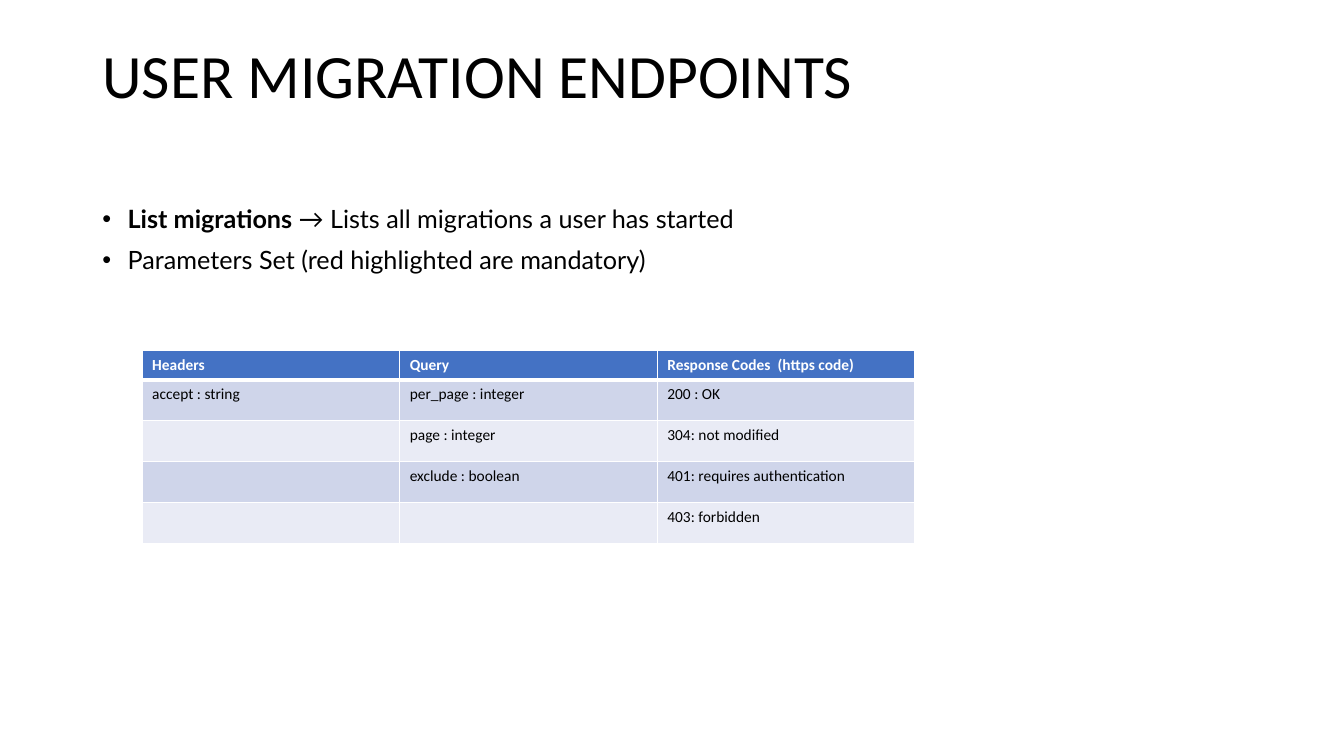
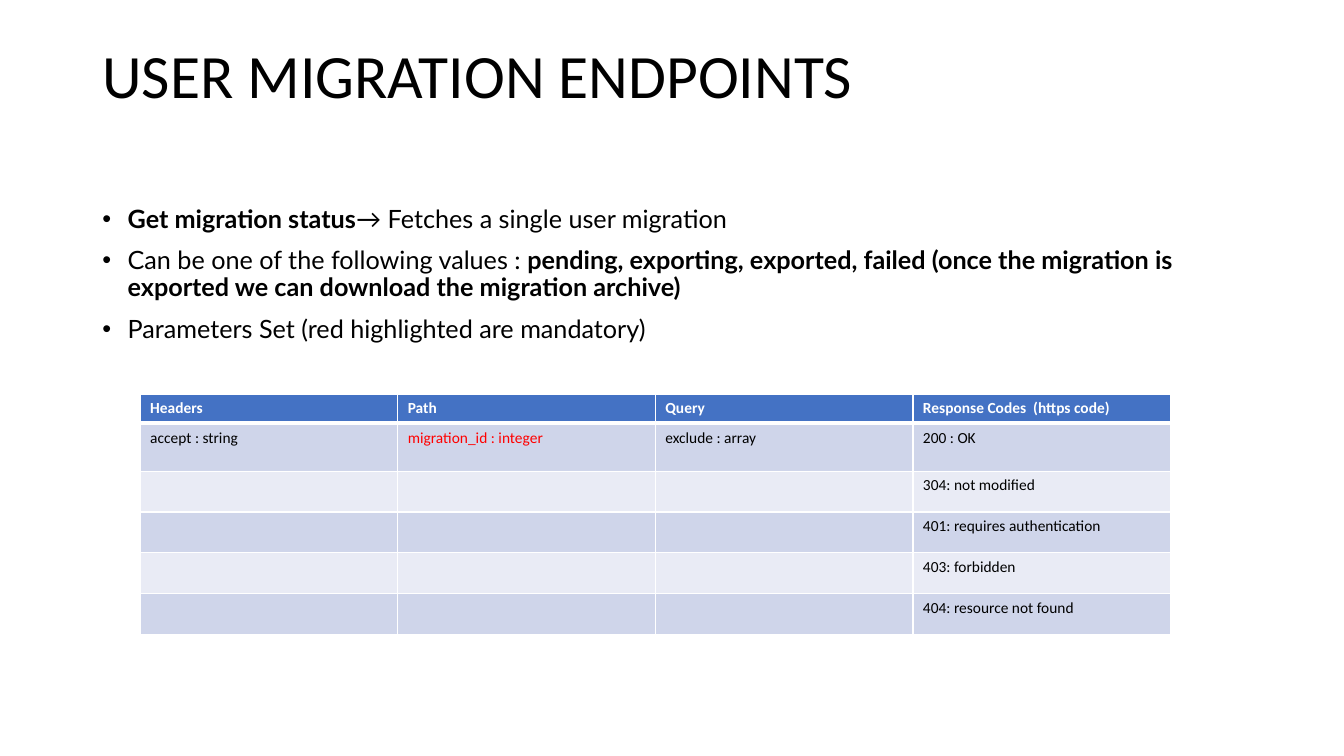
"""Build two slides describing the user migration endpoints."""
from dataclasses import dataclass

from lxml.etree import SubElement
from pptx import Presentation
from pptx.dml.color import RGBColor
from pptx.enum.text import MSO_ANCHOR as Anchor, MSO_AUTO_SIZE as AutoSize, PP_ALIGN as Align
from pptx.oxml.ns import qn
from pptx.util import Pt

BLACK = RGBColor(0x00, 0x00, 0x00)
WHITE = RGBColor(0xFF, 0xFF, 0xFF)
RED = RGBColor(0xFF, 0x00, 0x00)
BLUE = RGBColor(0x44, 0x72, 0xC4)
BANDS = (RGBColor(0xCF, 0xD5, 0xEA), RGBColor(0xE9, 0xEB, 0xF5))

TITLE = "USER MIGRATION ENDPOINTS"
TITLE_FONT = TABLE_FONT = "Calibri"
BODY_FONT = "Lato"
MANDATORY = {"migration_id : integer"}
COLUMN_WIDTH = 184
HEADER_HEIGHT = 20.6
ROW_HEIGHT = 29.2
BULLET_INDENT = 18
THIN, THICK = 1, 3


@dataclass(frozen=True)
class Span:
    text: str
    bold: bool = False


@dataclass(frozen=True)
class Grid:
    left: float
    top: float
    first_row_height: float
    headers: tuple[str, ...]
    columns: tuple[tuple[str, ...], ...]


@dataclass(frozen=True)
class Endpoint:
    bullets: tuple[tuple[Span, ...], ...]
    grid: Grid


PARAMETERS = (Span("Parameters Set (red highlighted are mandatory)"),)
CODES_HEADER = "Response Codes  (https code)"
CODES = ("200 : OK", "304: not modified", "401: requires authentication", "403: forbidden")

ENDPOINTS = (
    Endpoint(
        bullets=(
            (Span("List migrations ", True), Span("→ Lists all migrations a user has started")),
            PARAMETERS,
        ),
        grid=Grid(
            101.5, 250.6, ROW_HEIGHT,
            ("Headers", "Query", CODES_HEADER),
            (("accept : string",),
             ("per_page : integer", "page : integer", "exclude : boolean"),
             CODES),
        ),
    ),
    Endpoint(
        bullets=(
            (Span("Get migration status", True), Span("→ Fetches a single user migration")),
            (Span("Can be one of the following values : "),
             Span("pending, exporting, exported, failed (once the migration is "
                  "exported we can download the migration archive)", True)),
            PARAMETERS,
        ),
        grid=Grid(
            100.1, 281.5, 34.2,
            ("Headers", "Path", "Query", CODES_HEADER),
            (("accept : string",), ("migration_id : integer",), ("exclude : array",),
             CODES + ("404: resource not found",)),
        ),
    ),
)


def write(para, text: str, *, font: str, size: float,
          color: RGBColor = BLACK, bold: bool = False) -> None:
    run = para.add_run()
    run.text = text
    run.font.name = font
    run.font.size = Pt(size)
    run.font.bold = bold
    run.font.color.rgb = color


def place(box, left: float, top: float, width: float, height: float) -> None:
    box.left, box.top, box.width, box.height = map(Pt, (left, top, width, height))
    box.text_frame.word_wrap = True
    box.text_frame.auto_size = AutoSize.NONE
    box.text_frame.vertical_anchor = Anchor.TOP


def draw_title(page) -> None:
    box = page.shapes.title
    place(box, 66, 28.8, 828, 104.4)
    para = box.text_frame.paragraphs[0]
    para.alignment = Align.LEFT
    para.line_spacing = 0.9
    write(para, TITLE, font=TITLE_FONT, size=44)


def draw_bullets(page, bullets: tuple[tuple[Span, ...], ...]) -> None:
    box = page.placeholders[1]
    place(box, 66, 144, 845.3, 391.7)
    frame = box.text_frame
    for index, spans in enumerate(bullets):
        para = frame.add_paragraph() if index else frame.paragraphs[0]
        para.line_spacing = 0.9
        para.space_before = Pt(10)
        properties = para._p.get_or_add_pPr()
        properties.set("marL", str(Pt(BULLET_INDENT)))
        properties.set("indent", str(-Pt(BULLET_INDENT)))
        SubElement(properties, qn("a:buFont"), typeface="Arial")
        SubElement(properties, qn("a:buChar"), char="•")
        for span in spans:
            write(para, span.text, font=BODY_FONT, size=18, bold=span.bold)


def draw_borders(cell, top: float, bottom: float) -> None:
    properties = cell._tc.get_or_add_tcPr()
    for side, width in (("L", THIN), ("R", THIN), ("T", top), ("B", bottom)):
        line = SubElement(properties, qn(f"a:ln{side}"), w=str(Pt(width)))
        fill = SubElement(line, qn("a:solidFill"))
        SubElement(fill, qn("a:srgbClr"), val=str(WHITE))


def draw_grid(page, grid: Grid) -> None:
    body_rows = max(map(len, grid.columns))
    heights = [HEADER_HEIGHT, grid.first_row_height] + [ROW_HEIGHT] * (body_rows - 1)
    table = page.shapes.add_table(
        len(heights), len(grid.headers), Pt(grid.left), Pt(grid.top),
        Pt(COLUMN_WIDTH * len(grid.headers)), Pt(sum(heights))).table
    for row, height in zip(table.rows, heights):
        row.height = Pt(height)
    for column, (header, values) in enumerate(zip(grid.headers, grid.columns)):
        table.columns[column].width = Pt(COLUMN_WIDTH)
        texts = (header, *values)
        for row in range(len(heights)):
            cell = table.cell(row, column)
            is_header = row == 0
            draw_borders(cell, THICK if row == 1 else THIN, THICK if is_header else THIN)
            cell.fill.solid()
            cell.fill.fore_color.rgb = BLUE if is_header else BANDS[(row - 1) % 2]
            if row < len(texts):
                text = texts[row]
                color = WHITE if is_header else RED if text in MANDATORY else BLACK
                write(cell.text_frame.paragraphs[0], text, font=TABLE_FONT, size=11,
                      color=color, bold=is_header)


def main() -> None:
    deck = Presentation()
    deck.slide_width, deck.slide_height = Pt(960), Pt(540)
    for endpoint in ENDPOINTS:
        page = deck.slides.add_slide(deck.slide_layouts[1])
        draw_title(page)
        draw_bullets(page, endpoint.bullets)
        draw_grid(page, endpoint.grid)
    deck.save("out.pptx")


main()
